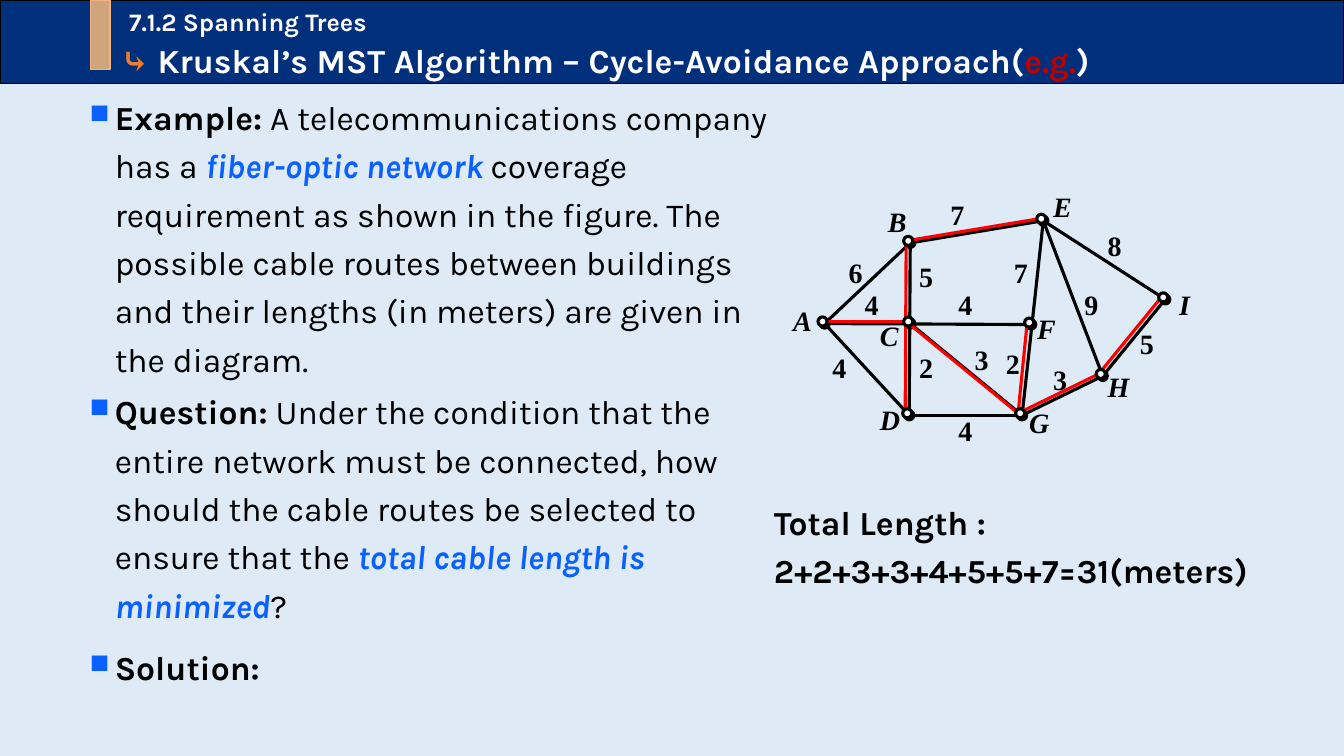
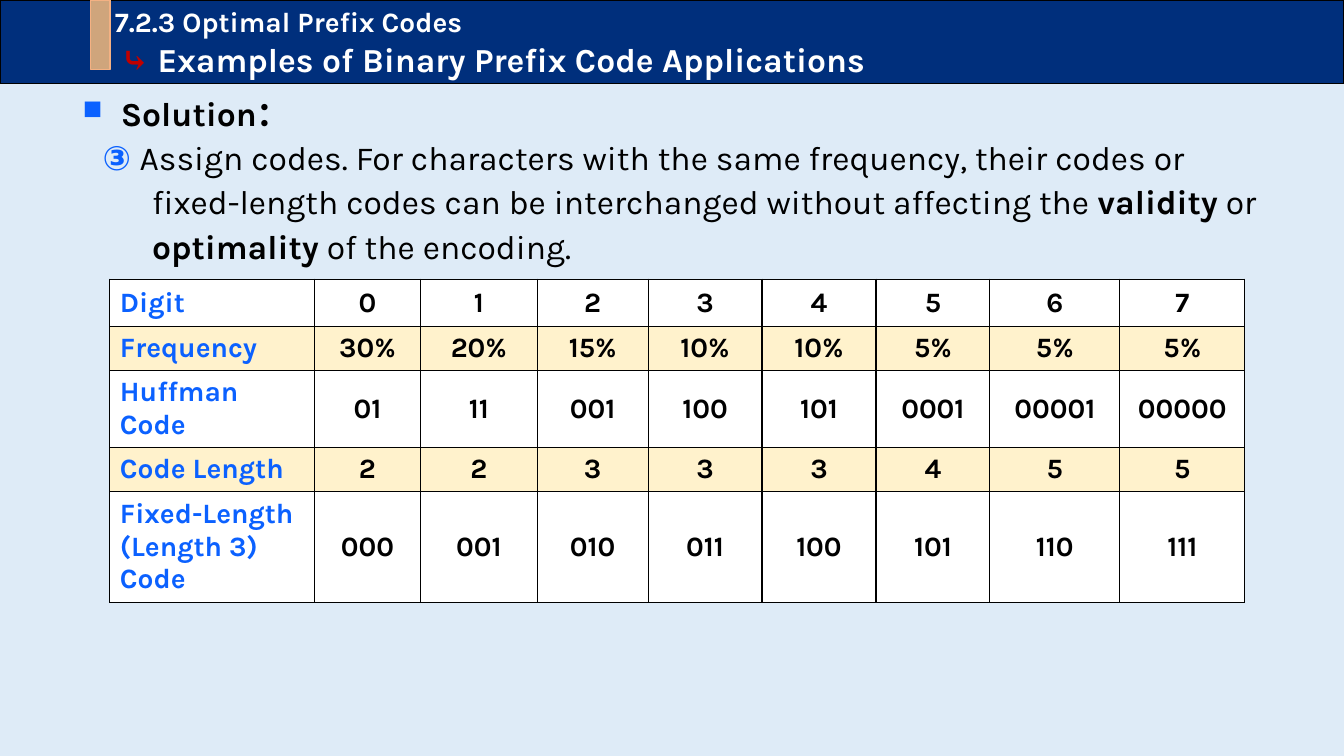
from dataclasses import dataclass
from typing import Any

import lxml.etree
import pptx
import pptx.dml.color
import pptx.enum.shapes
import pptx.enum.text
import pptx.oxml.ns
import pptx.util

# Shared look
COLORS = {
    "background": "DEEBF7", "band": "002F7C", "bar": "CFA57C", "bar_edge": "F4B183",
    "accent": "0B61FF", "orange": "ED7D31", "dark_red": "C00000", "tree": "FF0000",
    "black": "000000", "white": "FFFFFF", "stripe": "FFF2CC",
}
TEXT_FONT, GRAPH_FONT = "Karla", "Times New Roman"
TITLE_ONLY_LAYOUT = 5
ANCHOR = pptx.enum.text.MSO_ANCHOR
SHAPE = pptx.enum.shapes.MSO_SHAPE

# Grid: square cells, ten to the inch
CELL = pptx.util.Inches(0.1)
COLUMNS, ROWS = 133.33, 75
BAND_ROWS = 8.3


@dataclass(frozen=True)
class Box:
    column: float
    row: float
    columns: float
    rows: float

    def lengths(self) -> list[int]:
        return [grid(n) for n in (self.column, self.row, self.columns, self.rows)]


@dataclass(frozen=True)
class Run:
    text: str
    color: str = "black"
    size: float = 24
    bold: bool = False
    italic: bool = False
    font: str = TEXT_FONT


@dataclass(frozen=True)
class Paragraph:
    runs: tuple[Run, ...]
    spacing: float = 1.0
    before: float = 0
    margin: float = 0
    indent: float = 0
    bullet: str = ""
    centered: bool = False


@dataclass(frozen=True)
class Label:
    text: str
    column: float
    row: float


def grid(cells: float) -> int:
    return round(cells * CELL)


def rgb(name: str) -> pptx.dml.color.RGBColor:
    return pptx.dml.color.RGBColor.from_string(COLORS[name])


def set_all(target: Any, values: dict[str, Any]) -> None:
    for name, value in values.items():
        setattr(target, name, value)


def add_element(parent: Any, tag: str, **attributes: str) -> Any:
    return lxml.etree.SubElement(parent, pptx.oxml.ns.qn(tag), **attributes)


# Text
def write_paragraphs(frame: Any, paragraphs: list[Paragraph]) -> None:
    for index, content in enumerate(paragraphs):
        paragraph = frame.add_paragraph() if index else frame.paragraphs[0]
        align = pptx.enum.text.PP_ALIGN
        set_all(paragraph, {
            "alignment": align.CENTER if content.centered else align.LEFT,
            "line_spacing": content.spacing,
            "space_before": pptx.util.Pt(content.before),
        })
        properties = paragraph._p.get_or_add_pPr()
        properties.set("marL", str(grid(content.margin)))
        properties.set("indent", str(grid(content.indent)))
        if content.bullet:
            bullet_color = add_element(properties, "a:buClr")
            add_element(bullet_color, "a:srgbClr", val=COLORS["accent"])
            add_element(properties, "a:buSzPct", val="80000")
            add_element(properties, "a:buChar", char=content.bullet)
        for part in content.runs:
            run = paragraph.add_run()
            run.text = part.text
            set_all(run.font, {
                "name": part.font, "size": pptx.util.Pt(part.size),
                "bold": part.bold, "italic": part.italic,
            })
            run.font.color.rgb = rgb(part.color)


def add_text(shapes: Any, box: Box, paragraphs: list[Paragraph]) -> None:
    frame = shapes.add_textbox(*box.lengths()).text_frame
    frame.word_wrap = True
    write_paragraphs(frame, paragraphs)


# Shapes and lines
def paint(shape: Any, fill: str, line: str, width: float) -> None:
    shape.fill.solid()
    shape.fill.fore_color.rgb = rgb(fill)
    shape.line.color.rgb = rgb(line)
    shape.line.width = pptx.util.Pt(width)


def add_preset(shapes: Any, kind: Any, box: Box, fill: str, line: str, width: float) -> None:
    shape = shapes.add_shape(kind, *box.lengths())
    shape.shadow.inherit = False
    paint(shape, fill, line, width)


def add_line(shapes: Any, start: tuple[float, float], end: tuple[float, float], color: str) -> None:
    connector = shapes.add_connector(
        pptx.enum.shapes.MSO_CONNECTOR.STRAIGHT, *(grid(n) for n in start + end))
    connector.line.color.rgb = rgb(color)
    connector.line.width = pptx.util.Pt(2.25)
    add_element(connector._element.spPr, "a:effectLst")


# Slide with title band and accent bar
def add_titled_slide(presentation: Any, heading: list[Paragraph]) -> Any:
    slide = presentation.slides.add_slide(presentation.slide_layouts[TITLE_ONLY_LAYOUT])
    title = slide.shapes.title
    left, top, width, height = Box(0, 0, COLUMNS, BAND_ROWS).lengths()
    set_all(title, {"left": left, "top": top, "width": width, "height": height})
    paint(title, "band", "black", 1)
    set_all(title.text_frame, {
        "vertical_anchor": ANCHOR.MIDDLE, "word_wrap": True, "margin_left": 0,
        "auto_size": pptx.enum.text.MSO_AUTO_SIZE.NONE,
    })
    write_paragraphs(title.text_frame, heading)
    add_preset(slide.shapes, SHAPE.RECTANGLE, Box(9, 0, 1.9, 6.9), "bar", "bar_edge", 1)
    return slide


# Graph: node centres, routes and labels
NODES = {
    "A": (81.8, 32.1), "B": (90.3, 24.1), "C": (90.3, 32.1),
    "D": (90.2, 41.2), "E": (103.5, 21.9), "F": (102.3, 32.2),
    "G": (101.4, 41.2), "H": (109.4, 37.3), "I": (115.6, 29.7),
}
ROUTES = "AB AD BD BE EG AF CG DG EI GH IH EH".split()
TREE_ROUTES = "BD BE FG AC CG GH IH".split()
NODE_LABELS = [
    Label("H", 108.9, 36.2), Label("B", 87.1, 19.8), Label("A", 77.7, 29.6),
    Label("C", 86.3, 31.1), Label("D", 86.3, 39.4), Label("E", 103.5, 18.3),
    Label("F", 101.9, 30.4), Label("G", 101.1, 39.7), Label("I", 116, 28),
]
WEIGHTS = [
    Label("6", 83.2, 24.9), Label("4", 84.8, 28), Label("4", 81.6, 34.3),
    Label("5", 90.2, 25.3), Label("2", 90.2, 34.3), Label("7", 93.3, 19.1),
    Label("4", 94.1, 28), Label("3", 95.7, 33.5), Label("4", 94.1, 40.5),
    Label("7", 99.6, 24.9), Label("2", 98.8, 33.9), Label("8", 108.9, 22.2),
    Label("9", 106.6, 28), Label("5", 112.1, 31.9), Label("3", 103.5, 35.5),
]


def shifted(node: str, right: float, down: float) -> tuple[float, float]:
    column, row = NODES[node]
    return column + right, row + down


def add_routes(shapes: Any, routes: list[str], color: str, right: float, down: float) -> None:
    for start, end in routes:
        add_line(shapes, shifted(start, right, down), shifted(end, right, down), color)


def add_nodes(shapes: Any, right: float, down: float) -> None:
    size = 0.9
    for node in NODES:
        column, row = shifted(node, right - size / 2, down - size / 2)
        add_preset(shapes, SHAPE.OVAL, Box(column, row, size, size), "white", "black", 2.25)


def add_labels(shapes: Any, labels: list[Label], columns: float, rows: float, italic: bool) -> None:
    for label in labels:
        run = Run(label.text, size=20, bold=True, italic=italic, font=GRAPH_FONT)
        add_text(shapes, Box(label.column, label.row, columns, rows), [Paragraph((run,))])


def add_graph(slide: Any) -> None:
    network = slide.shapes.add_group_shape().shapes
    add_routes(network, ROUTES, "black", 0, 0)
    add_nodes(network, 0, 0)
    add_labels(network, NODE_LABELS, 5.5, 5.1, True)
    add_labels(network, WEIGHTS, 3.9, 3.5, False)
    tree = slide.shapes.add_group_shape().shapes
    add_routes(tree, TREE_ROUTES, "tree", -0.4, -0.2)
    add_nodes(tree, -0.2, -0.2)


# Code table
TABLE_COLUMNS = [20.3, 10.5, 11.6, 11, 11.3, 11.3, 11.3, 12.9, 12.4]
TABLE_ROWS = [4.7, 4.3, 7.5, 4.3, 10.7]
CODES = [
    ("Digit", "0 1 2 3 4 5 6 7"),
    ("Frequency", "30% 20% 15% 10% 10% 5% 5% 5%"),
    ("Huffman Code", "01 11 001 100 101 0001 00001 00000"),
    ("Code Length", "2 2 3 3 3 4 5 5"),
    ("Fixed-Length (Length 3) Code", "000 001 010 011 100 101 110 111"),
]


def add_borders(cell: Any) -> None:
    properties = cell._tc.get_or_add_tcPr()
    for index, side in enumerate("LRTB"):
        border = add_element(properties, f"a:ln{side}", w=str(pptx.util.Pt(1)))
        add_element(add_element(border, "a:solidFill"), "a:srgbClr", val=COLORS["black"])
        properties.insert(index, border)


def add_code_table(slide: Any) -> None:
    box = Box(10.9, 27.7, sum(TABLE_COLUMNS), sum(TABLE_ROWS))
    table = slide.shapes.add_table(len(TABLE_ROWS), len(TABLE_COLUMNS), *box.lengths()).table
    set_all(table, {"first_row": False, "horz_banding": False})
    for column, width in zip(table.columns, TABLE_COLUMNS):
        column.width = grid(width)
    for index, (heading, values) in enumerate(CODES):
        table.rows[index].height = grid(TABLE_ROWS[index])
        for position, text in enumerate([heading, *values.split()]):
            cell = table.cell(index, position)
            cell.vertical_anchor = ANCHOR.MIDDLE
            cell.fill.solid()
            cell.fill.fore_color.rgb = rgb("stripe" if index % 2 else "white")
            add_borders(cell)
            run = Run(text, "black" if position else "accent", 20, True)
            write_paragraphs(cell.text_frame, [Paragraph((run,), centered=position > 0)])


# Slides
def build_spanning_tree_slide(presentation: Any) -> None:
    slide = add_titled_slide(presentation, [
        Paragraph((Run("7.1.2 Spanning Trees", "white", 18, True),), 1.1, margin=12.8),
        Paragraph((
            Run("⤷", "orange", bold=True),
            Run(" Kruskal’s MST Algorithm – Cycle-Avoidance Approach(", "white", bold=True),
            Run("e.g.", "dark_red", bold=True), Run(")", "white", bold=True),
        ), 1.1, margin=12),
    ])
    item = {"spacing": 1.2, "margin": 2.5, "indent": -2.5, "bullet": "■"}
    add_text(slide.shapes, Box(7.9, 8.3, 69.8, 60.5), [
        Paragraph((
            Run("Example:", bold=True), Run(" A telecommunications company has a "),
            Run("fiber-optic network ", "accent", bold=True, italic=True),
            Run("coverage requirement as shown in the figure. The possible cable routes "
                "between buildings and their lengths (in meters) are given in the diagram."),
        ), **item),
        Paragraph((
            Run("Question:", bold=True),
            Run(" Under the condition that the entire network must be connected, "
                "how should the cable routes be selected to ensure that the "),
            Run("total cable length is minimized", "accent", bold=True, italic=True), Run("?"),
        ), before=3, **item),
        Paragraph((Run("Solution:", bold=True),), before=10, **item),
    ])
    add_graph(slide)
    add_text(slide.shapes, Box(75.8, 48.5, 51, 10.3), [
        Paragraph((Run("Total Length : 2+2+3+3+4+5+5+7=31(meters)", bold=True),), 1.2)])


def build_prefix_code_slide(presentation: Any) -> None:
    slide = add_titled_slide(presentation, [
        Paragraph((Run("7.2.3 Optimal Prefix Codes", "white", 20, True),), margin=11.4),
        Paragraph((
            Run("⤷ ", "dark_red", bold=True),
            Run("Examples of Binary Prefix Code Applications", "white", bold=True),
        ), margin=12),
    ])
    add_text(slide.shapes, Box(7.2, 8.3, 118.9, 20.3), [
        Paragraph((Run("Solution：", bold=True),), 1.1, margin=3.8, indent=-3.8, bullet="■"),
        Paragraph((
            Run("③ ", "accent", bold=True),
            Run("Assign codes. For characters with the same frequency, their codes or "
                "fixed-length codes can be interchanged without affecting the "),
            Run("validity", bold=True), Run(" or "),
            Run("optimality", bold=True), Run(" of the encoding."),
        ), 1.1, margin=6.9, indent=-4.9),
    ])
    add_code_table(slide)


def main() -> None:
    presentation = pptx.Presentation()
    set_all(presentation, {"slide_width": grid(COLUMNS), "slide_height": grid(ROWS)})
    background = presentation.slide_master.background.fill
    background.solid()
    background.fore_color.rgb = rgb("background")
    build_spanning_tree_slide(presentation)
    build_prefix_code_slide(presentation)
    presentation.save("out.pptx")


if __name__ == "__main__":
    main()
